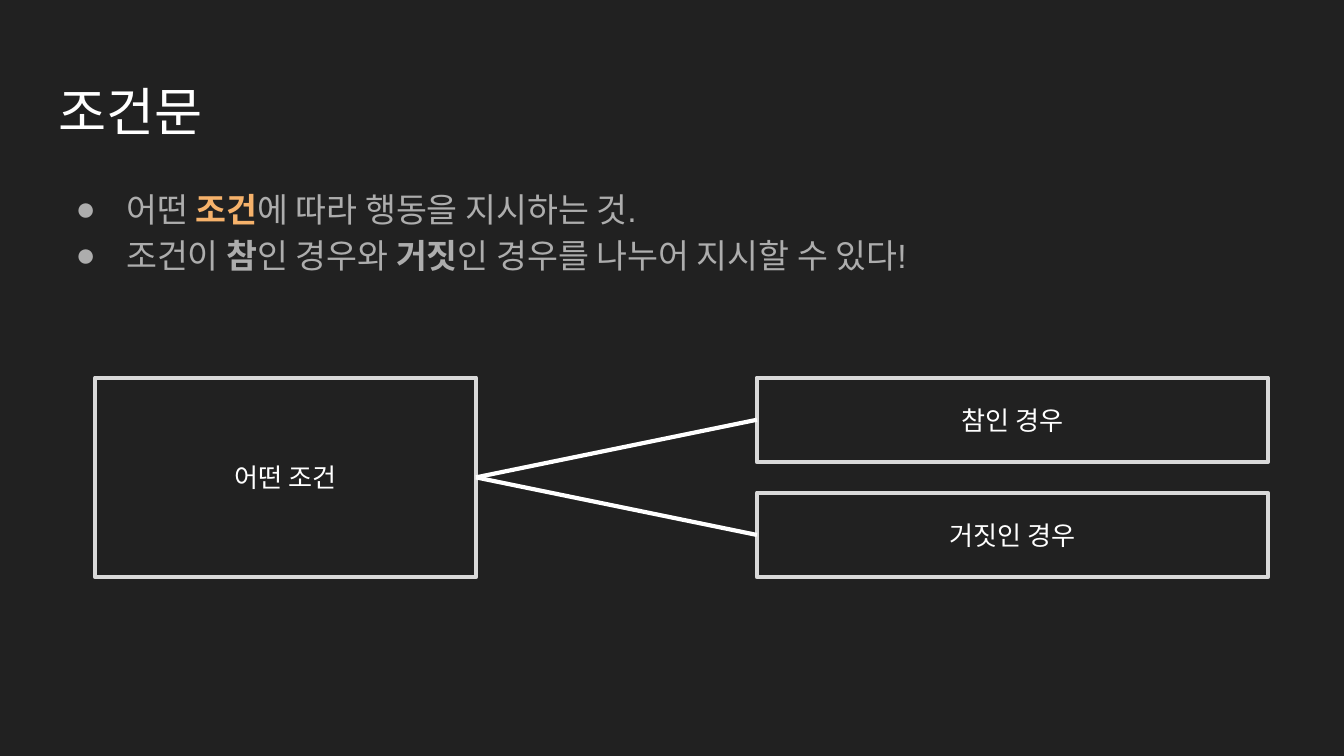
from typing import NamedTuple

from lxml import etree
from pptx import Presentation
from pptx.dml.color import RGBColor
from pptx.enum.shapes import MSO_CONNECTOR, MSO_SHAPE
from pptx.enum.text import MSO_ANCHOR, PP_ALIGN
from pptx.oxml.ns import qn
from pptx.util import Pt

RECT = MSO_SHAPE.RECTANGLE
STRAIGHT = MSO_CONNECTOR.STRAIGHT
MIDDLE, TOP = MSO_ANCHOR.MIDDLE, MSO_ANCHOR.TOP
CENTER = PP_ALIGN.CENTER
LEFT_SIDE, RIGHT_SIDE = 1, 3

FONT = "Arial"
BACKGROUND, WHITE, GREY = "212121", "FFFFFF", "ADADAD"
BORDER, ORANGE = "D9D9D9", "F6B26B"
LINE_WIDTH = 2.25
INSET = 7.2
MARGIN, TEXT_WIDTH = 24.5, 671


class Span(NamedTuple):
    text: str
    color: str = GREY
    bold: bool = False


class Box(NamedTuple):
    text: str
    left: float
    top: float
    width: float
    height: float


BULLETS = [
    [Span("어떤 "), Span("조건", ORANGE, True), Span("에 따라 행동을 지시하는 것.")],
    [Span("조건이 "), Span("참", bold=True), Span("인 경우와 "),
     Span("거짓", bold=True), Span("인 경우를 나누어 지시할 수 있다!")],
]

BOX_TOP, CASE_HEIGHT, CASE_STEP = 202.3, 45.2, 61.7
CONDITION = Box("어떤 조건", 51, BOX_TOP, 204, CASE_STEP + CASE_HEIGHT)
CASES = [
    Box(text, 405.5, BOX_TOP + i * CASE_STEP, 273.7, CASE_HEIGHT)
    for i, text in enumerate(["참인 경우", "거짓인 경우"])
]


def rgb(color: str) -> RGBColor:
    return RGBColor.from_string(color)


def set_frame(tf, anchor) -> None:
    tf.word_wrap = True
    tf.vertical_anchor = anchor
    tf.margin_left = tf.margin_right = Pt(INSET)
    tf.margin_top = tf.margin_bottom = Pt(INSET)


def add_run(p, span: Span, size: float) -> None:
    r = p.add_run()
    r.text = span.text
    r.font.name = FONT
    r.font.size = Pt(size)
    r.font.bold = span.bold
    r.font.color.rgb = rgb(span.color)


def add_text_area(s, top: float, height: float):
    sp = s.shapes.add_textbox(Pt(MARGIN), Pt(top), Pt(TEXT_WIDTH), Pt(height))
    set_frame(sp.text_frame, TOP)
    return sp.text_frame


def add_bullet(p) -> None:
    pPr = p._p.get_or_add_pPr()
    pPr.set("marL", str(Pt(36)))
    pPr.set("indent", str(Pt(-27)))
    color = etree.SubElement(pPr, qn("a:buClr"))
    etree.SubElement(color, qn("a:srgbClr")).set("val", GREY)
    etree.SubElement(pPr, qn("a:buFont")).set("typeface", FONT)
    etree.SubElement(pPr, qn("a:buChar")).set("char", "●")
    p.line_spacing = 1.15


def add_box(s, box: Box):
    sp = s.shapes.add_shape(RECT, Pt(box.left), Pt(box.top), Pt(box.width), Pt(box.height))
    sp.shadow.inherit = False
    sp.fill.background()
    sp.line.color.rgb = rgb(BORDER)
    sp.line.width = Pt(LINE_WIDTH)
    set_frame(sp.text_frame, MIDDLE)
    p = sp.text_frame.paragraphs[0]
    p.alignment = CENTER
    add_run(p, Span(box.text, WHITE), 14)
    return sp


def join(s, start, end) -> None:
    line = s.shapes.add_connector(STRAIGHT, 0, 0, 0, 0)
    line.begin_connect(start, RIGHT_SIDE)
    line.end_connect(end, LEFT_SIDE)
    line.line.color.rgb = rgb(WHITE)
    line.line.width = Pt(LINE_WIDTH)
    etree.SubElement(line._element.spPr, qn("a:effectLst"))


def main() -> None:
    prs = Presentation()
    prs.slide_width, prs.slide_height = Pt(720), Pt(405)
    s = prs.slides.add_slide(prs.slide_layouts[6])
    s.background.fill.solid()
    s.background.fill.fore_color.rgb = rgb(BACKGROUND)

    title = add_text_area(s, 35, 45.4)
    add_run(title.paragraphs[0], Span("조건문", WHITE), 28)

    body = add_text_area(s, 90.7, 269)
    for i, spans in enumerate(BULLETS):
        p = body.add_paragraph() if i else body.paragraphs[0]
        add_bullet(p)
        for span in spans:
            add_run(p, span, 18)

    condition = add_box(s, CONDITION)
    cases = [add_box(s, case) for case in CASES]
    for case in cases:
        join(s, condition, case)

    prs.save("out.pptx")


if __name__ == "__main__":
    main()
